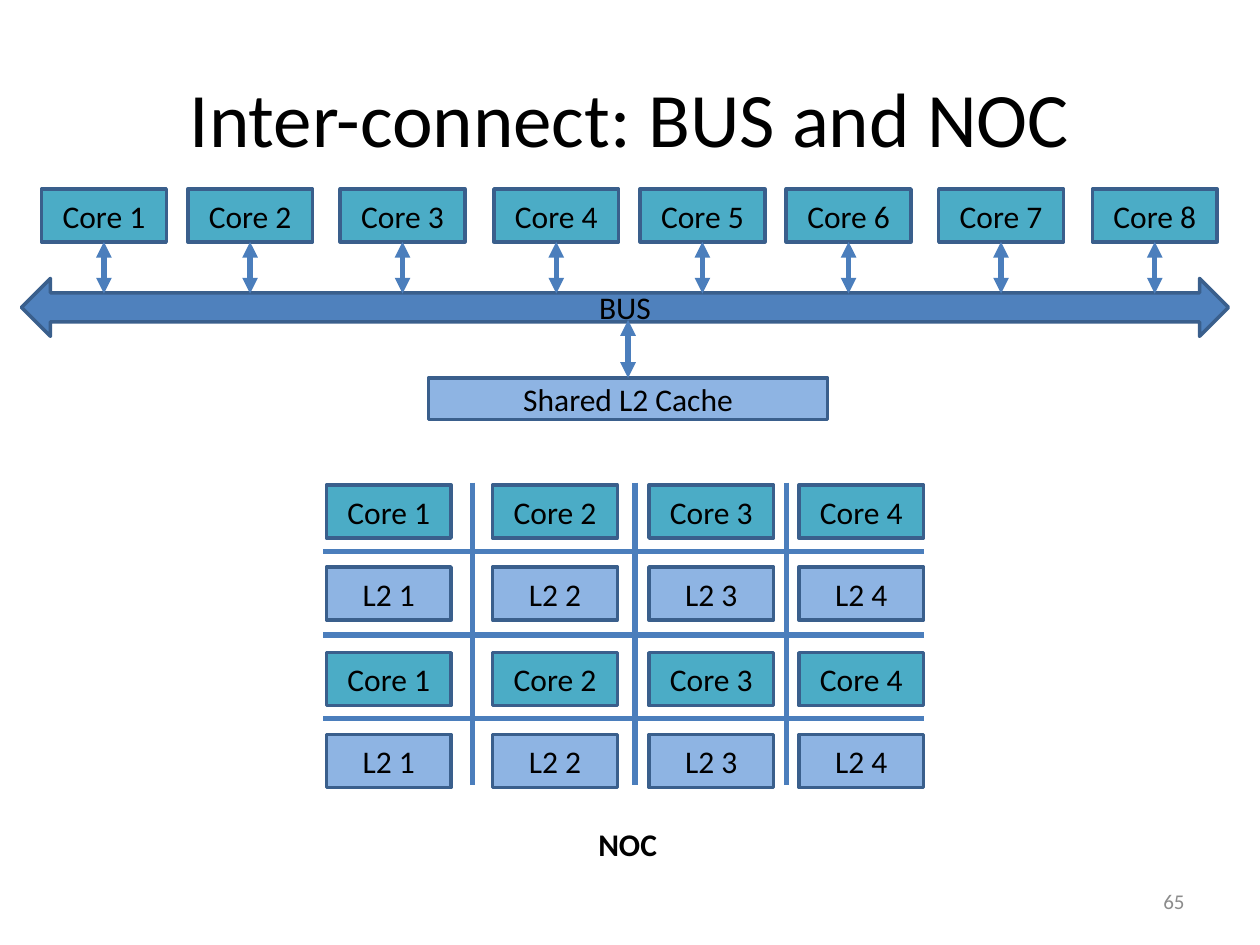
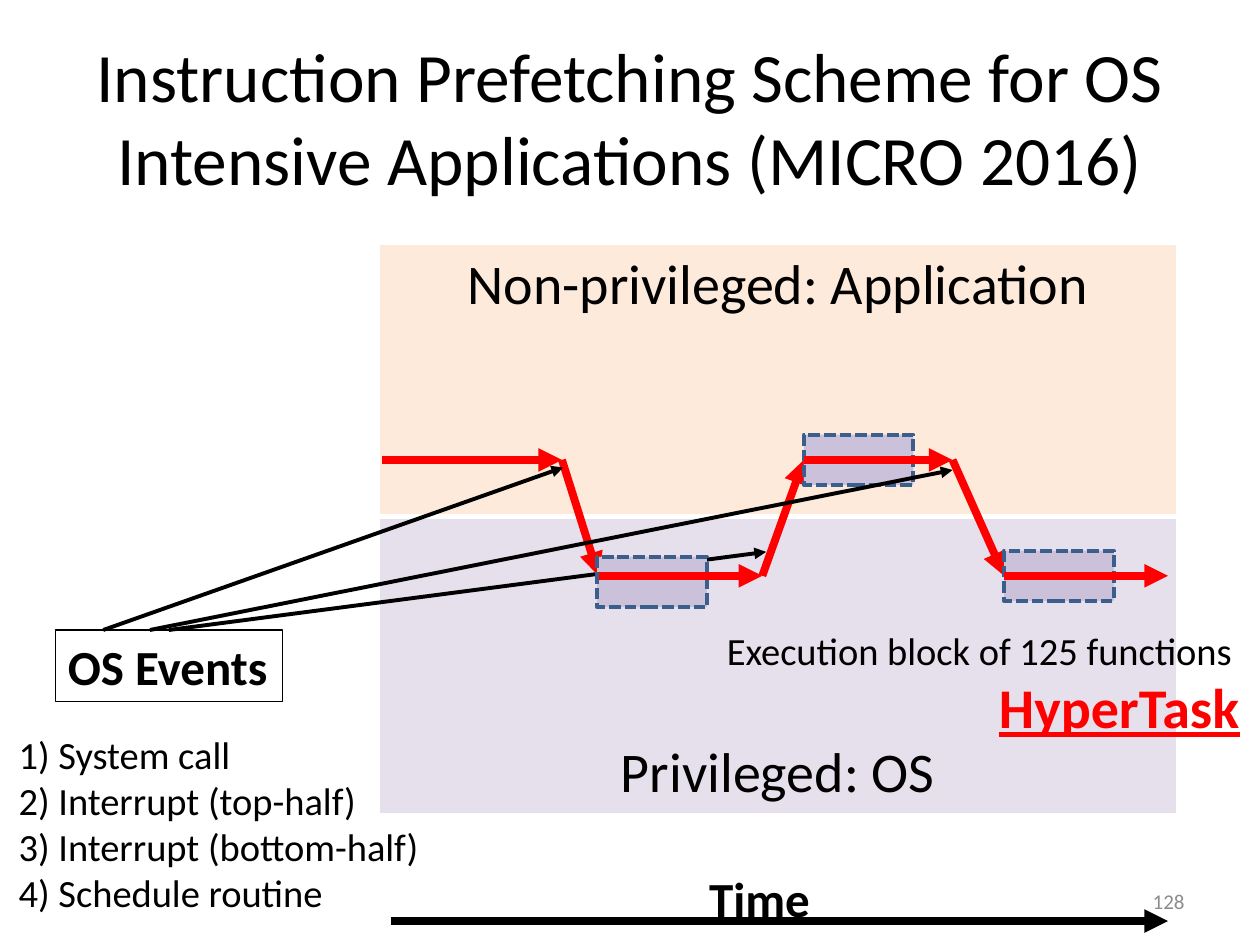
from dataclasses import dataclass

from lxml.etree import SubElement
from pptx import Presentation
from pptx.dml.color import RGBColor as Rgb
from pptx.enum.dml import MSO_LINE as Dash
from pptx.enum.shapes import MSO_CONNECTOR as Link, MSO_SHAPE as Preset
from pptx.enum.text import MSO_ANCHOR as Anchor, MSO_AUTO_SIZE as AutoSize, PP_ALIGN as Align
from pptx.oxml.ns import qn
from pptx.util import Inches, Pt

TOP, LEFT, BOTTOM = 0, 1, 2


@dataclass(frozen=True)
class Theme:
    """Colours, font and type sizes shared by the slides."""
    font: str = "Calibri"
    ink: str = "000000"
    grey: str = "8C8C8C"
    white: str = "FFFFFF"
    red: str = "FF0000"
    outline: str = "3A5F8C"
    wire: str = "4B7EBC"
    core: str = "4BACC6"
    bus: str = "4F81BD"
    cache: str = "8EB4E3"
    application: str = "FDEADA"
    system: str = "E6E0EC"
    hypertask: str = "CCC1DA"
    number: float = 12
    label: float = 18
    note: float = 22
    heading: float = 28
    mode: float = 32
    tight_title: float = 39.6
    title: float = 44


THEME = Theme()


def write(frame, text, size=THEME.label, color=THEME.ink, bold=None, underline=None,
          align=Align.LEFT, anchor=Anchor.TOP, wrap=True):
    """Fill a text frame with one paragraph per line in a single format."""
    frame.word_wrap = wrap
    frame.vertical_anchor = anchor
    for index, line in enumerate(text.split("\n")):
        paragraph = frame.add_paragraph() if index else frame.paragraphs[0]
        paragraph.alignment = align
        run = paragraph.add_run()
        run.text = line
        font = run.font
        font.name, font.size = THEME.font, Pt(size)
        font.bold, font.underline = bold, underline
        font.color.rgb = Rgb.from_string(color)


@dataclass
class Region:
    """A box on a slide whose parts are placed from its top left corner."""
    slide: object
    left: float
    top: float

    def point(self, x, y):
        """Turn a place in the region into a place on the slide."""
        return Inches(self.left + x), Inches(self.top + y)

    def block(self, x, y, width, height, fill, text="", preset=Preset.RECTANGLE,
              weight=2, dash=None):
        """Draw an outlined shape with an optional centred label."""
        shape = self.slide.shapes.add_shape(
            preset, *self.point(x, y), Inches(width), Inches(height))
        shape.shadow.inherit = False
        shape.fill.solid()
        shape.fill.fore_color.rgb = Rgb.from_string(fill)
        shape.line.color.rgb = Rgb.from_string(THEME.outline)
        shape.line.width = Pt(weight)
        if dash:
            shape.line.dash_style = dash
        if text:
            write(shape.text_frame, text, align=Align.CENTER, anchor=Anchor.MIDDLE)
        return shape

    def label(self, x, y, width, height, text, **style):
        """Place free text."""
        box = self.slide.shapes.add_textbox(
            *self.point(x, y), Inches(width), Inches(height))
        write(box.text_frame, text, **style)
        return box

    def line(self, start, end, color=THEME.wire, weight=3, heads=()):
        """Draw a straight line with arrowheads at the named ends."""
        connector = self.slide.shapes.add_connector(
            Link.STRAIGHT, *self.point(*start), *self.point(*end))
        connector.line.color.rgb = Rgb.from_string(color)
        connector.line.width = Pt(weight)
        properties = connector.element.spPr
        for head in heads:
            SubElement(properties.find(qn("a:ln")), qn(f"a:{head}"), type="triangle")
        SubElement(properties, qn("a:effectLst"))
        return connector


def titled_slide(deck, title, number, size):
    """Add a slide with its title and slide number."""
    slide = deck.slides.add_slide(deck.slide_layouts[5])
    heading = slide.shapes.title
    heading.left, heading.top = Inches(0.5), Inches(0.3)
    heading.width, heading.height = Inches(9), Inches(1.25)
    heading.text_frame.auto_size = AutoSize.NONE
    write(heading.text_frame, title, size=size, align=Align.CENTER, anchor=Anchor.MIDDLE)
    Region(slide, 7.17, 6.95).label(
        0, 0, 2.33, 0.4, number, size=THEME.number, color=THEME.grey,
        align=Align.RIGHT, anchor=Anchor.MIDDLE)
    return slide


def core_block(region, x, y, text, fill=THEME.core):
    """Draw one core or cache tile."""
    return region.block(x, y, 0.99, 0.42, fill, text)


def bus_diagram(region):
    """Draw eight cores and a shared cache joined by a bus."""
    both = ("headEnd", "tailEnd")
    region.block(0, 0.71, 9.58, 0.46, THEME.bus, "BUS", preset=Preset.LEFT_RIGHT_ARROW)
    for index, x in enumerate((0.16, 1.32, 2.53, 3.75, 4.91, 6.07, 7.28, 8.5), 1):
        core = core_block(region, x, 0, f"Core {index}")
        middle = x + 0.99 / 2
        drop = region.line((middle, 0.42), (middle, 0.83), heads=both)
        drop.begin_connect(core, BOTTOM)
    cache = region.block(3.23, 1.5, 3.17, 0.33, THEME.cache, "Shared L2 Cache")
    middle = 3.23 + 3.17 / 2
    region.line((middle, 1.04), (middle, 1.5), heads=both).end_connect(cache, TOP)


def noc_diagram(region):
    """Draw the grid of cores and caches crossed by network lines."""
    for pair in range(2):
        for index, x in enumerate((0.03, 1.35, 2.59, 3.78), 1):
            y = 0.02 + 1.33 * pair
            core_block(region, x, y, f"Core {index}")
            core_block(region, x, y + 0.65, f"L2 {index}", THEME.cache)
    for x in (1.19, 2.48, 3.68):
        region.line((x, 0), (x, 2.4))
    for row in range(3):
        y = 0.55 + 0.66 * row
        region.line((4.77, y), (0, y))
    region.label(2.09, 2.67, 2.16, 0.4, "NOC", bold=True)


def border_cell(cell, **weights):
    """Give a cell white borders of the stated weights."""
    properties = cell._tc.get_or_add_tcPr()
    for side in "LRTB":
        border = SubElement(properties, qn(f"a:ln{side}"), w=str(Pt(weights.get(side, 1))))
        fill = SubElement(border, qn("a:solidFill"))
        SubElement(fill, qn("a:srgbClr"), val=THEME.white)


def privilege_bands(region):
    """Draw the two privilege levels and the time axis below them."""
    table = region.slide.shapes.add_table(
        2, 1, *region.point(0, 0), Inches(6.33), Inches(4.52)).table
    table.first_row = table.horz_banding = False
    bands = (
        ("Non-privileged: Application", 2.16, THEME.application, Anchor.TOP, {"B": 3}),
        ("Privileged: OS", 2.36, THEME.system, Anchor.BOTTOM, {"T": 3}),
    )
    for row, (text, height, fill, anchor, weights) in enumerate(bands):
        table.rows[row].height = Inches(height)
        cell = table.cell(row, 0)
        border_cell(cell, **weights)
        cell.fill.solid()
        cell.fill.fore_color.rgb = Rgb.from_string(fill)
        write(cell.text_frame, text, size=THEME.mode, align=Align.CENTER)
        cell.vertical_anchor = anchor
    region.line((0.09, 5.37), (6.26, 5.37), THEME.ink, 4.5, ("tailEnd",))
    region.label(2.52, 4.9, 1.01, 0.57, "Time", size=THEME.heading, bold=True, wrap=False)


USER_Y, OS_Y = 1.71, 2.63
EXECUTION_PATH = (
    (0.02, USER_Y), (1.45, USER_Y), (1.74, OS_Y), (3.04, OS_Y),
    (3.37, USER_Y), (4.55, USER_Y), (4.96, OS_Y), (6.26, OS_Y),
)


def hypertask_block(region, x, y):
    """Draw one dashed execution block."""
    return region.block(x, y, 0.87, 0.4, THEME.hypertask, weight=2.25, dash=Dash.SQUARE_DOT)


def path_step(region, index):
    """Draw one red arrow of the execution path."""
    return region.line(*EXECUTION_PATH[index:index + 2], THEME.red, 4.5, ("tailEnd",))


def mode_switches(region):
    """Draw the switches between levels and return the blocks they land on."""
    landings = {}
    for step in (1, 3, 5):
        switch = path_step(region, step)
        if step > 1:
            x, y = EXECUTION_PATH[step + 1]
            landings[step + 1] = hypertask_block(region, x, y - 0.2)
            switch.end_connect(landings[step + 1], LEFT)
    return landings


def os_events(region):
    """Draw the event box, its list and the arrows to the mode switches."""
    box = region.label(0.39, 0, 1.8, 0.57, "OS Events", size=THEME.heading,
                       bold=True, wrap=False)
    box.line.color.rgb = Rgb.from_string(THEME.ink)
    box.line.width = Pt(0.75)
    arrows = [region.line((x, 0), switch, THEME.ink, 2.25, ("tailEnd",))
              for x, switch in ((0.77, (4.42, -1.29)), (1.29, (6.03, -0.62)),
                                (1.14, (7.51, -1.27)))]
    arrows[1].begin_connect(box, TOP)
    region.label(0, 0.75, 3.53, 1.58,
                 "1) System call\n2) Interrupt (top-half)\n"
                 "3) Interrupt (bottom-half)\n4) Schedule routine", size=THEME.note)


def execution_runs(region, landings):
    """Draw the runs within each level and name the execution block."""
    hypertask_block(region, 1.73, 2.48)
    for step in (0, 2, 4, 6):
        run = path_step(region, step)
        if step in landings:
            run.begin_connect(landings[step], LEFT)
    region.label(2.66, 2.99, 4.26, 0.47, "Execution block of 125 functions",
                 size=THEME.note, wrap=False)
    region.label(4.82, 3.35, 2.13, 0.64, "HyperTask", size=THEME.mode, color=THEME.red,
                 bold=True, underline=True, wrap=False)


def interconnect_slide(deck):
    """Build the slide that compares a bus with a network on chip."""
    slide = titled_slide(deck, "Inter-connect: BUS and NOC", "65", THEME.title)
    bus_diagram(Region(slide, 0.17, 1.5))
    noc_diagram(Region(slide, 2.56, 3.83))


def prefetching_slide(deck):
    """Build the slide on prefetching for OS intensive applications."""
    slide = titled_slide(
        deck, "Instruction Prefetching Scheme for OS Intensive Applications (MICRO 2016)",
        "128", THEME.tight_title)
    timeline = Region(slide, 3.01, 1.94)
    privilege_bands(timeline)
    landings = mode_switches(timeline)
    os_events(Region(slide, 0.05, 5))
    execution_runs(timeline, landings)


def main():
    """Build and save the deck."""
    deck = Presentation()
    deck.slide_width, deck.slide_height = Inches(10), Inches(7.5)
    interconnect_slide(deck)
    prefetching_slide(deck)
    deck.save("out.pptx")


if __name__ == "__main__":
    main()
